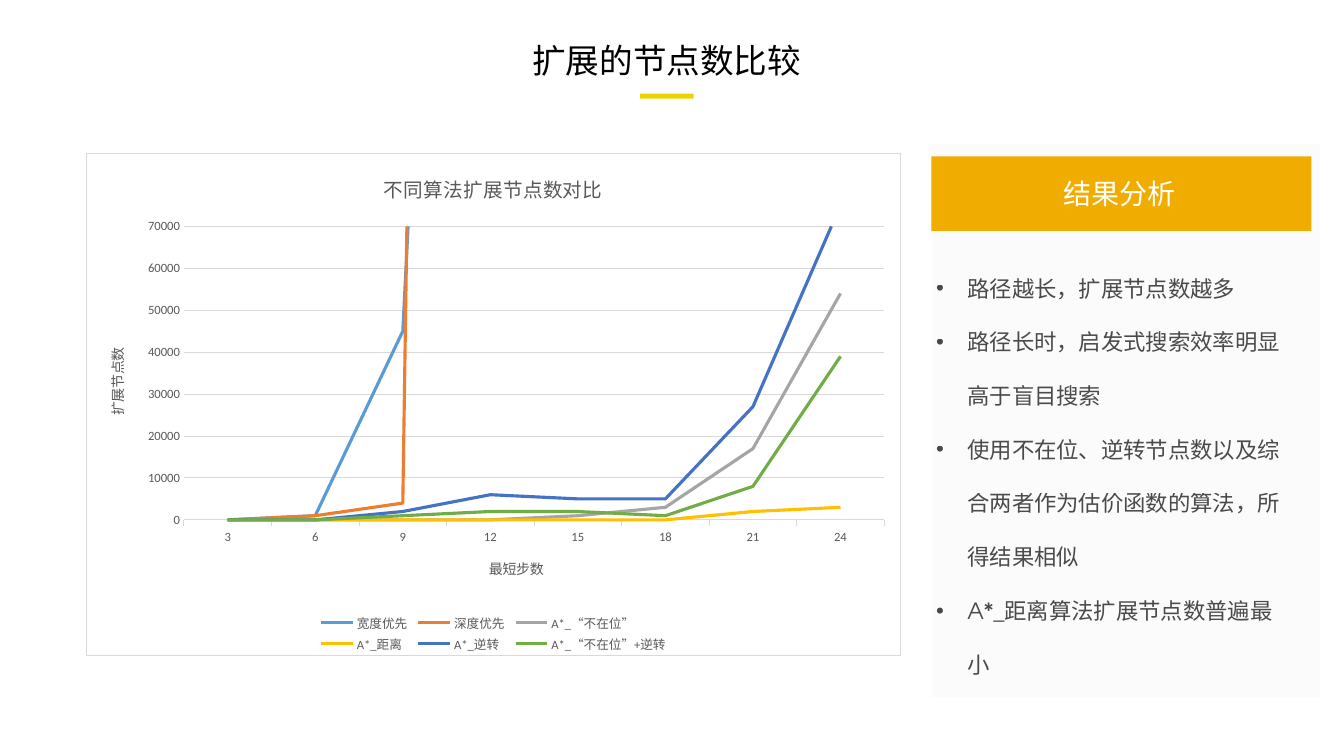
"""Build a slide comparing expanded node counts of search algorithms."""
from lxml.etree import SubElement
from pptx import Presentation
from pptx.chart.data import CategoryChartData
from pptx.dml.color import RGBColor
from pptx.enum.chart import XL_CHART_TYPE, XL_LEGEND_POSITION, XL_TICK_MARK
from pptx.enum.shapes import MSO_SHAPE
from pptx.enum.text import MSO_ANCHOR, MSO_AUTO_SIZE, PP_ALIGN
from pptx.oxml import parse_xml
from pptx.oxml.ns import nsdecls, qn
from pptx.util import Cm, Pt

COLORS = {
    "black": "000000", "white": "FFFFFF", "gray": "595959", "rule": "D9D9D9",
    "accent": "EED200", "panel": "F2F2F2", "header": "F1AC00",
}
TITLE = "扩展的节点数比较"
HEADER = "结果分析"
FINDINGS = [
    "路径越长，扩展节点数越多",
    "路径长时，启发式搜索效率明显高于盲目搜索",
    "使用不在位、逆转节点数以及综合两者作为估价函数的算法，所得结果相似",
    "A*_距离算法扩展节点数普遍最小",
]
CHART_TITLE = "不同算法扩展节点数对比"
STEPS_TITLE, NODES_TITLE = "最短步数", "扩展节点数"
STEPS = [str(step) for step in range(3, 25, 3)]
SERIES = [
    ("宽度优先", "5B9BD5", [0, 1000, 45000, 457000, None, None, None, None]),
    ("深度优先", "ED7D31", [0, 1000, 4000, 1401000, 2670000, None, None, None]),
    ("A*_“不在位”", "A5A5A5", [0, 0, 0, 0, 1000, 3000, 17000, 54000]),
    ("A*_距离", "FFC000", [0, 0, 0, 0, 0, 0, 2000, 3000]),
    ("A*_逆转", "4472C4", [0, 0, 2000, 6000, 5000, 5000, 27000, 75000]),
    ("A*_“不在位”+逆转", "70AD47", [0, 0, 1000, 2000, 2000, 1000, 8000, 39000]),
]
BOXES = {
    "title": (13.16, 0.89, 7.54, 1.27),
    "underline": (16.13, 2.36, 1.35, 0.13),
    "chart": (2.16, 3.86, 20.55, 12.67),
    "panel": (23.47, 3.63, 9.8, 13.94),
    "header": (23.47, 3.94, 9.58, 1.88),
    "header text": (23.8, 4.32, 8.84, 1.12),
    "findings": (23.34, 6.12, 9.25, 11.2),
}
PLOT_LAYOUT = {"x": 0.12, "y": 0.145, "w": 0.86, "h": 0.585}
LEGEND_LAYOUT = {"x": 0.28, "y": 0.91, "w": 0.44, "h": 0.09}


def box(name):
    return [Cm(length) for length in BOXES[name]]


def color(name):
    return RGBColor.from_string(COLORS.get(name, name))


def format_font(font, size, color_name, name="Calibri"):
    values = {"size": Pt(size), "name": name, "bold": False}
    for attribute, value in values.items():
        setattr(font, attribute, value)
    font.color.rgb = color(color_name)


def set_alpha(element, percent):
    SubElement(element.find(".//" + qn("a:srgbClr")), qn("a:alpha"), val=str(percent * 1000))


def add_rectangle(slide, name, color_name):
    shape = slide.shapes.add_shape(MSO_SHAPE.RECTANGLE, *box(name))
    shape.shadow.inherit = False
    shape.fill.solid()
    shape.fill.fore_color.rgb = color(color_name)
    shape.line.fill.background()
    return shape


def format_frame(frame):
    values = {"word_wrap": True, "auto_size": MSO_AUTO_SIZE.SHAPE_TO_FIT_TEXT,
              "vertical_anchor": MSO_ANCHOR.TOP}
    for attribute, value in values.items():
        setattr(frame, attribute, value)
    return frame


def add_title(slide):
    title = slide.shapes.title
    title.left, title.top, title.width, title.height = box("title")
    paragraph = format_frame(title.text_frame).paragraphs[0]
    paragraph.alignment = PP_ALIGN.JUSTIFY
    run = paragraph.add_run()
    run.text = TITLE
    format_font(run.font, 24, "black", "Noto Sans CJK SC")
    SubElement(run.font._element, qn("a:ea"), typeface="Noto Sans CJK SC")


def make_layout(fractions, inner=False):
    target = '<c:layoutTarget val="inner"/>' if inner else ""
    modes = "".join(f'<c:{key}Mode val="edge"/>' for key in "xy")
    sizes = "".join(f'<c:{key} val="{value}"/>' for key, value in fractions.items())
    return parse_xml(f'<c:layout {nsdecls("c")}><c:manualLayout>{target}{modes}{sizes}'
                     "</c:manualLayout></c:layout>")


def format_axis(axis, title, tick_mark):
    axis.major_tick_mark = tick_mark
    axis.minor_tick_mark = XL_TICK_MARK.NONE
    format_font(axis.tick_labels.font, 9, "gray")
    run = axis.axis_title.text_frame.paragraphs[0].add_run()
    run.text = title
    format_font(run.font, 10, "gray")


def format_line(line, color_name, width):
    line.color.rgb = color(color_name)
    line.width = Pt(width)


def add_node_chart(slide):
    data = CategoryChartData()
    data.categories = STEPS
    for name, _, values in SERIES:
        data.add_series(name, values)
    chart = slide.shapes.add_chart(XL_CHART_TYPE.LINE, *box("chart"), data).chart
    format_font(chart.font, 10, "black")
    chart.has_title = True
    run = chart.chart_title.text_frame.paragraphs[0].add_run()
    run.text = CHART_TITLE
    format_font(run.font, 14, "gray")
    chart.plots[0].vary_by_categories = False
    for series, (_, line_color, _) in zip(chart.plots[0].series, SERIES):
        series.smooth = False
        format_line(series.format.line, line_color, 2.25)

    steps, nodes = chart.category_axis, chart.value_axis
    format_axis(steps, STEPS_TITLE, XL_TICK_MARK.OUTSIDE)
    format_axis(nodes, NODES_TITLE, XL_TICK_MARK.NONE)
    format_line(steps.format.line, "rule", 0.75)
    nodes.format.line.fill.background()
    nodes.minimum_scale, nodes.maximum_scale, nodes.major_unit = 0, 70000, 10000
    format_line(nodes.major_gridlines.format.line, "rule", 0.75)
    body = nodes.axis_title.element.find(".//" + qn("a:bodyPr"))
    body.set("rot", "-5400000")
    body.set("vert", "horz")

    chart.has_legend = True
    chart.legend.position = XL_LEGEND_POSITION.BOTTOM
    chart.legend.include_in_layout = False
    format_font(chart.legend.font, 9, "gray")
    space = chart.element
    plot_area, legend = space.find(".//" + qn("c:plotArea")), space.find(".//" + qn("c:legend"))
    for parent in (plot_area, legend):
        for layout in parent.findall(qn("c:layout")):
            parent.remove(layout)
    plot_area.insert(0, make_layout(PLOT_LAYOUT, inner=True))
    legend.find(qn("c:legendPos")).addnext(make_layout(LEGEND_LAYOUT))
    space.find(qn("c:chart")).addnext(parse_xml(
        f'<c:spPr {nsdecls("c", "a")}><a:solidFill><a:srgbClr val="{COLORS["white"]}"/></a:solidFill>'
        f'<a:ln w="{Pt(0.75)}"><a:solidFill><a:srgbClr val="{COLORS["rule"]}"/></a:solidFill></a:ln>'
        "</c:spPr>"))


def add_analysis(slide):
    set_alpha(add_rectangle(slide, "panel", "panel").element, 30)
    add_rectangle(slide, "header", "header")
    header = format_frame(slide.shapes.add_textbox(*box("header text")).text_frame)
    header.paragraphs[0].alignment = PP_ALIGN.CENTER
    run = header.paragraphs[0].add_run()
    run.text = HEADER
    format_font(run.font, 20, "white", "TeX Gyre Adventor")

    frame = format_frame(slide.shapes.add_textbox(*box("findings")).text_frame)
    for index, finding in enumerate(FINDINGS):
        paragraph = frame.add_paragraph() if index else frame.paragraphs[0]
        paragraph.line_spacing = 2.0
        run = paragraph.add_run()
        run.text = finding
        format_font(run.font, 16, "black", "TeX Gyre Adventor")
        set_alpha(run.font._element, 70)
        properties = paragraph._p.get_or_add_pPr()
        properties.set("marL", str(Cm(0.79)))
        properties.set("indent", str(-Cm(0.79)))
        SubElement(properties, qn("a:buFont"), typeface="Arial")
        SubElement(properties, qn("a:buChar"), char="•")


def main():
    presentation = Presentation()
    presentation.slide_width, presentation.slide_height = Cm(33.87), Cm(19.05)
    slide = presentation.slides.add_slide(presentation.slide_layouts[5])
    add_title(slide)
    add_rectangle(slide, "underline", "accent")
    add_node_chart(slide)
    add_analysis(slide)
    presentation.save("out.pptx")


if __name__ == "__main__":
    main()
